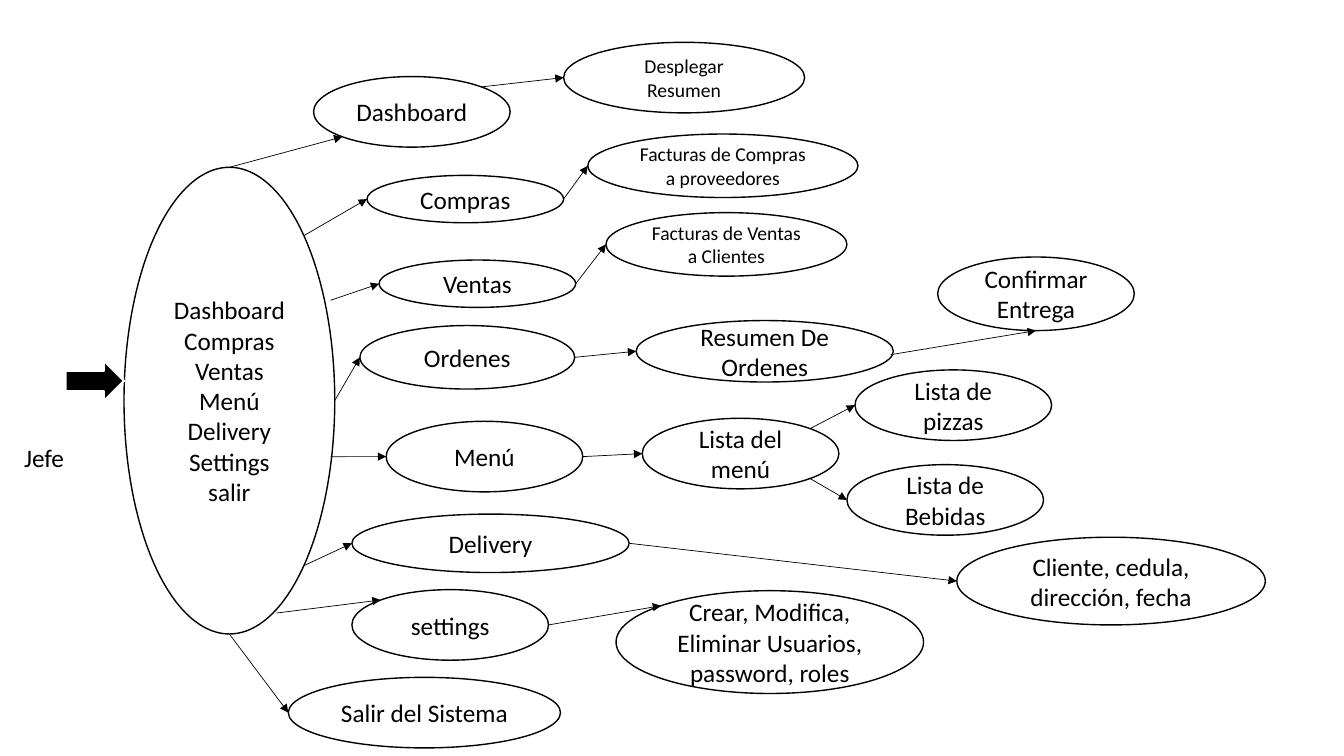
from dataclasses import dataclass
from math import sqrt
from typing import NamedTuple

import lxml.etree
import pptx
import pptx.dml.color
import pptx.enum.shapes
import pptx.enum.text
import pptx.oxml.ns
import pptx.util

Inches = pptx.util.Inches
Pt = pptx.util.Pt
qn = pptx.oxml.ns.qn
FONT = "Calibri"
BLACK = "000000"
WHITE = "FFFFFF"


class Site(NamedTuple):
    """A point on an ellipse, as shares of its half width and half height."""
    x: float
    y: float


DIAGONAL = 1 / sqrt(2)
TOP, BOTTOM = Site(0, -1), Site(0, 1)
LEFT, RIGHT = Site(-1, 0), Site(1, 0)
TOP_LEFT, TOP_RIGHT = Site(-DIAGONAL, -DIAGONAL), Site(DIAGONAL, -DIAGONAL)
BOTTOM_LEFT, BOTTOM_RIGHT = Site(-DIAGONAL, DIAGONAL), Site(DIAGONAL, DIAGONAL)


@dataclass(frozen=True)
class Bubble:
    left: float
    top: float
    width: float
    height: float
    lines: tuple[str, ...]
    size: int = 18

    def point(self, site: Site) -> tuple[float, float]:
        return (self.left + self.width * (1 + site.x) / 2,
                self.top + self.height * (1 + site.y) / 2)


@dataclass(frozen=True)
class Link:
    source: str
    target: str
    start: Site = RIGHT
    end: Site = LEFT


BUBBLES = {
    "hub": Bubble(1.23, 1.66, 2.09, 4.63, (
        "Dashboard", "Compras", "Ventas", "Menú", "Delivery", "Settings", "salir")),
    "dashboard": Bubble(3.11, 0.76, 1.95, 0.7, ("Dashboard",)),
    "summary": Bubble(5.59, 0.42, 2.39, 0.7, ("Desplegar Resumen",), 14),
    "purchases": Bubble(3.64, 1.74, 1.95, 0.47, ("Compras",)),
    "purchase bills": Bubble(5.83, 1.33, 2.68, 0.63,
                             ("Facturas de Compras a proveedores",), 14),
    "sales": Bubble(3.76, 2.58, 1.95, 0.47, ("Ventas",)),
    "sales bills": Bubble(6.01, 2.11, 2.39, 0.63,
                          ("Facturas de Ventas a Clientes",), 14),
    "orders": Bubble(3.57, 3.23, 2.13, 0.63, ("Ordenes",)),
    "order summary": Bubble(6.31, 3.18, 2.55, 0.61, ("Resumen De Ordenes",)),
    "confirmation": Bubble(9.3, 2.55, 1.95, 0.73, ("Confirmar Entrega",)),
    "menu": Bubble(3.83, 4.18, 1.95, 0.7, ("Menú",)),
    "menu list": Bubble(6.37, 4.15, 1.95, 0.7, ("Lista del menú",)),
    "pizzas": Bubble(8.48, 3.67, 1.95, 0.7, ("Lista de pizzas",)),
    "drinks": Bubble(8.4, 4.61, 1.95, 0.7, ("Lista de Bebidas",)),
    "delivery": Bubble(3.49, 5.1, 2.75, 0.58, ("Delivery",)),
    "customer": Bubble(9.49, 5.33, 3.06, 0.87,
                       ("Cliente, cedula, dirección, fecha",)),
    "settings": Bubble(3.49, 5.85, 1.95, 0.7, ("settings",)),
    "users": Bubble(6.11, 5.86, 3.05, 1.02,
                    ("Crear, Modifica, Eliminar Usuarios, password, roles",)),
    "exit": Bubble(2.86, 6.72, 2.7, 0.7, ("Salir del Sistema",)),
}

LINKS = (
    Link("hub", "dashboard", TOP, BOTTOM_LEFT),
    Link("hub", "purchases", TOP_RIGHT),
    Link("hub", "sales", Site(0.96, -0.43)),
    Link("hub", "orders"),
    Link("hub", "menu", Site(0.96, 0.24)),
    Link("hub", "delivery", BOTTOM_RIGHT),
    Link("hub", "settings", Site(0.45, 0.91), TOP_LEFT),
    Link("hub", "exit", BOTTOM),
    Link("dashboard", "summary", TOP_RIGHT),
    Link("purchases", "purchase bills"),
    Link("sales", "sales bills"),
    Link("orders", "order summary"),
    Link("order summary", "confirmation", Site(0.98, 0.11), BOTTOM),
    Link("menu", "menu list"),
    Link("menu list", "pizzas", TOP_RIGHT),
    Link("menu list", "drinks", BOTTOM_RIGHT),
    Link("delivery", "customer"),
    Link("settings", "users", RIGHT, TOP_LEFT),
)


def color(value: str) -> pptx.dml.color.RGBColor:
    return pptx.dml.color.RGBColor.from_string(value)


def write_lines(frame, lines: tuple[str, ...], size: int, alignment) -> None:
    frame.word_wrap = True
    for index, line in enumerate(lines):
        para = frame.add_paragraph() if index else frame.paragraphs[0]
        para.alignment = alignment
        span = para.add_run()
        span.text = line
        span.font.name = FONT
        span.font.size = Pt(size)
        span.font.color.rgb = color(BLACK)


def add_outlined(slide, kind, left: float, top: float, width: float,
                 height: float, fill: str, line: str, weight: float):
    shape = slide.shapes.add_shape(
        kind, Inches(left), Inches(top), Inches(width), Inches(height))
    shape.shadow.inherit = False
    shape.fill.solid()
    shape.fill.fore_color.rgb = color(fill)
    shape.line.color.rgb = color(line)
    shape.line.width = Pt(weight)
    return shape


def add_bubble(slide, bubble: Bubble) -> None:
    shape = add_outlined(
        slide, pptx.enum.shapes.MSO_SHAPE.OVAL, bubble.left, bubble.top,
        bubble.width, bubble.height, WHITE, BLACK, 1)
    shape.text_frame.vertical_anchor = pptx.enum.text.MSO_ANCHOR.MIDDLE
    write_lines(shape.text_frame, bubble.lines, bubble.size,
                pptx.enum.text.PP_ALIGN.CENTER)


def add_link(slide, link: Link) -> None:
    start = BUBBLES[link.source].point(link.start)
    end = BUBBLES[link.target].point(link.end)
    connector = slide.shapes.add_connector(
        pptx.enum.shapes.MSO_CONNECTOR.STRAIGHT,
        *(Inches(length) for length in start + end))
    connector.line.color.rgb = color(BLACK)
    connector.line.width = Pt(0.5)
    properties = connector.element.spPr
    outline = properties.find(qn("a:ln"))
    lxml.etree.SubElement(outline, qn("a:tailEnd"), type="triangle")
    lxml.etree.SubElement(properties, qn("a:effectLst"))


def add_actor(slide) -> None:
    """Draw the user's name and the block arrow into the hub."""
    box = slide.shapes.add_textbox(
        Inches(0.14), Inches(4.34), Inches(1.96), Inches(0.4))
    write_lines(box.text_frame, ("Jefe",), 18, pptx.enum.text.PP_ALIGN.LEFT)
    add_outlined(slide, pptx.enum.shapes.MSO_SHAPE.RIGHT_ARROW,
                 0.65, 3.58, 0.58, 0.4, BLACK, WHITE, 1.5)


def main() -> None:
    deck = pptx.Presentation()
    deck.slide_width = Inches(13.33)
    deck.slide_height = Inches(7.5)
    slide = deck.slides.add_slide(deck.slide_layouts.get_by_name("Blank"))
    for bubble in BUBBLES.values():
        add_bubble(slide, bubble)
    add_actor(slide)
    for link in LINKS:
        add_link(slide, link)
    deck.save("out.pptx")


if __name__ == "__main__":
    main()
